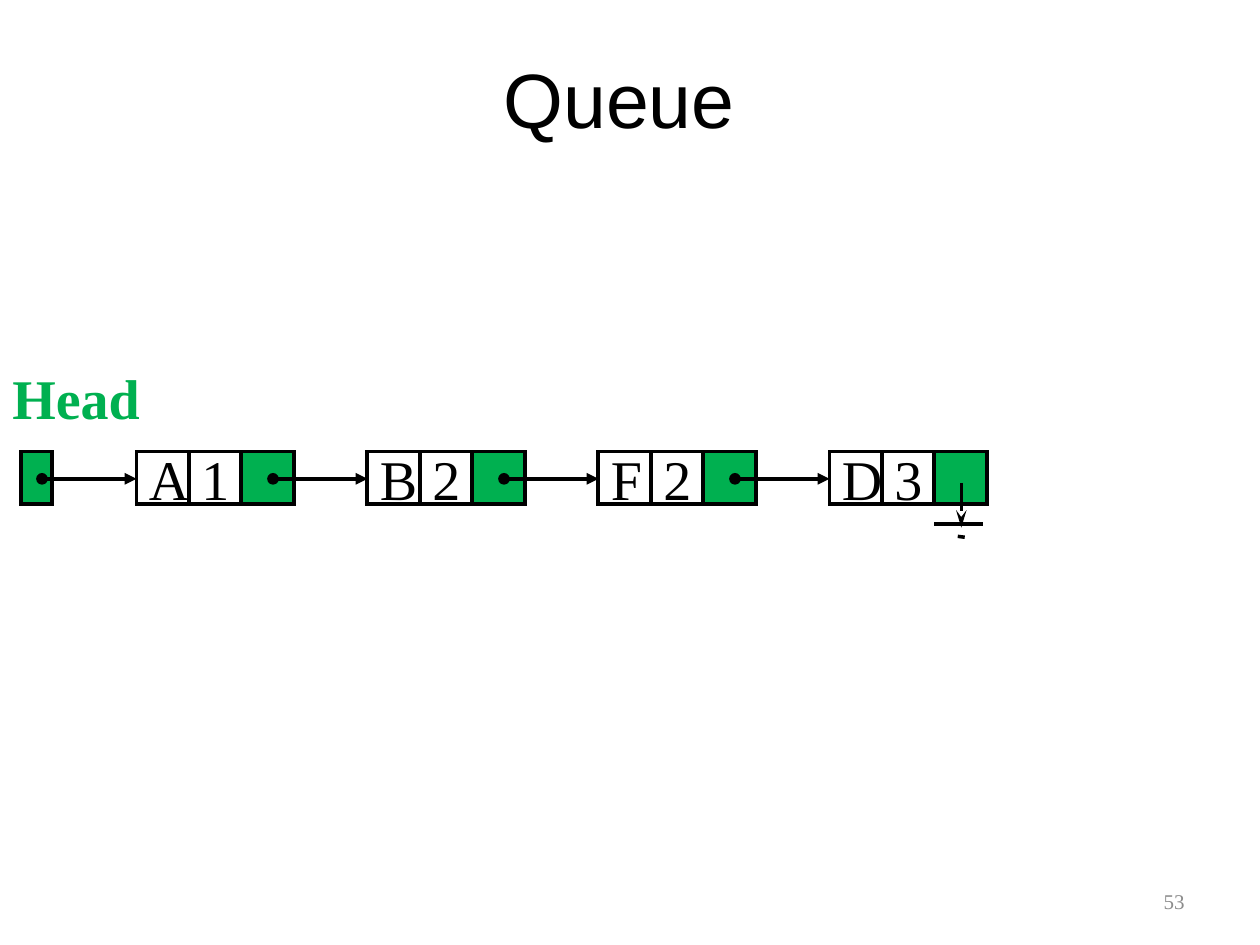
from dataclasses import dataclass

from lxml import etree
from pptx import Presentation
from pptx.dml.color import RGBColor
from pptx.enum.shapes import MSO_CONNECTOR, MSO_SHAPE
from pptx.enum.text import MSO_ANCHOR, PP_ALIGN
from pptx.oxml.ns import qn
from pptx.util import Pt

RECTANGLE = MSO_SHAPE.RECTANGLE
STRAIGHT = MSO_CONNECTOR.STRAIGHT
TOP, MIDDLE = MSO_ANCHOR.TOP, MSO_ANCHOR.MIDDLE
LEFT, CENTER, RIGHT = PP_ALIGN.LEFT, PP_ALIGN.CENTER, PP_ALIGN.RIGHT


@dataclass(frozen=True)
class Theme:
    black: RGBColor = RGBColor(0x00, 0x00, 0x00)
    green: RGBColor = RGBColor(0x00, 0xB0, 0x50)
    gray: RGBColor = RGBColor(0x8C, 0x8C, 0x8C)
    sans: str = "Arial"
    serif: str = "Times New Roman"
    title_size: int = 44
    label_size: int = 32
    number_size: int = 12
    border: float = 2.25
    ground: float = 2


theme = Theme()


def write(box, text, size=theme.label_size, font=theme.serif, color=theme.black,
          bold=False, align=LEFT, anchor=MIDDLE, wrap=True):
    frame = box.text_frame
    frame.word_wrap = wrap
    frame.vertical_anchor = anchor
    para = frame.paragraphs[0]
    para.alignment = align
    span = para.add_run()
    span.text = text
    span.font.size = Pt(size)
    span.font.name = font
    span.font.bold = bold
    span.font.color.rgb = color


def draw_line(parent, start, end, width, head=None, tail=None, length="med"):
    line = parent.shapes.add_connector(
        STRAIGHT, Pt(start[0]), Pt(start[1]), Pt(end[0]), Pt(end[1]))
    line.line.color.rgb = theme.black
    line.line.width = Pt(width)
    outline = line.line._get_or_add_ln()
    for tag, kind in (("a:headEnd", head), ("a:tailEnd", tail)):
        if kind:
            etree.SubElement(outline, qn(tag), type=kind, len=length)
    etree.SubElement(line._element.spPr, qn("a:effectLst"))


deck = Presentation()
deck.slide_width, deck.slide_height = Pt(720), Pt(540)
page = deck.slides.add_slide(deck.slide_layouts[6])

title = page.shapes.add_textbox(Pt(36), Pt(21.6), Pt(648), Pt(68.4))
write(title, "Queue ", size=theme.title_size, font=theme.sans, align=CENTER)

page_number = page.shapes.add_textbox(Pt(516), Pt(500.5), Pt(168), Pt(28.75))
write(page_number, "53", size=theme.number_size, color=theme.gray, align=RIGHT)

# Linked list: nodes of value, priority and pointer, then the head pointer
CELL = 30
ROW_TOP = 258
ARROW_Y = 273.6
ARROW_LENGTH = 54
FIRST_NODE = 78
NODE_STEP = 132
nodes = [("A", "1"), ("B", "2"), ("F", "2"), ("D", "3")]
node_lefts = [FIRST_NODE + NODE_STEP * index for index in range(len(nodes))]

cells = []
for left, (value, priority) in zip(node_lefts, nodes):
    node = page.shapes.add_group_shape()
    for column, text in ((1, priority), (0, value), (2, None)):
        cells.append((node, left + CELL * column, CELL, text))
cells.append((page, 12, 18, None))

for parent, left, width, text in cells:
    cell = parent.shapes.add_shape(RECTANGLE, Pt(left), Pt(ROW_TOP), Pt(width), Pt(CELL))
    cell.shadow.inherit = False
    cell.line.color.rgb = theme.black
    cell.line.width = Pt(theme.border)
    etree.SubElement(cell.line._get_or_add_ln(), qn("a:miter"), lim="800000")
    if text:
        cell.fill.background()
        write(cell, text, wrap=False)
    else:
        cell.fill.solid()
        cell.fill.fore_color.rgb = theme.green

for left in node_lefts:
    draw_line(page, (left - ARROW_LENGTH, ARROW_Y), (left, ARROW_Y), theme.border,
              head="oval", tail="triangle")

# Ground symbol: the last pointer leads nowhere
ground = page.shapes.add_group_shape()
draw_line(ground, (549.3, 276), (549.3, 301.5), theme.ground, tail="stealth", length="lg")
draw_line(ground, (534, 299.5), (561.6, 299.5), theme.ground)
draw_line(ground, (547.3, 306.5), (551.3, 307), theme.ground)

head_label = page.shapes.add_textbox(Pt(0), Pt(204), Pt(144), Pt(46))
write(head_label, "Head", color=theme.green, bold=True, anchor=TOP)

deck.save("out.pptx")
